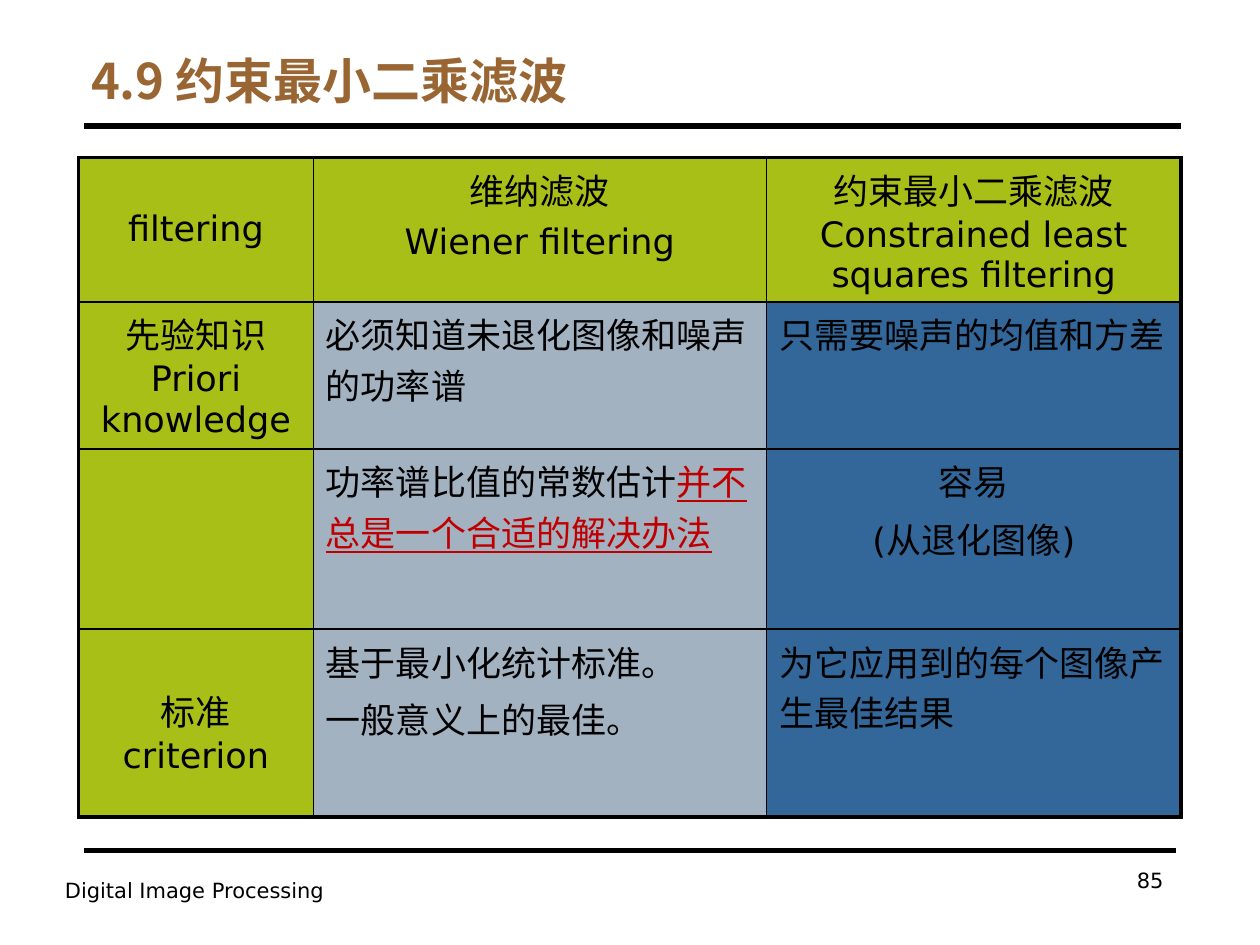
"""Build the slide comparing Wiener and constrained least squares filtering."""
from lxml.etree import SubElement
from pptx import Presentation
from pptx.dml.color import RGBColor
from pptx.enum.shapes import MSO_CONNECTOR
from pptx.enum.text import MSO_ANCHOR, PP_ALIGN
from pptx.oxml.ns import qn
from pptx.util import Pt

COLORS = {
    "ink": "000000",
    "title": "996633",
    "heading": "A7BF17",
    "wiener": "A3B2C1",
    "constrained": "336699",
    "emphasis": "C00000",
}
LATIN, CHINESE = "DejaVu Sans", "Noto Sans CJK SC"


def style(paragraph, size, align=PP_ALIGN.LEFT, color="ink", latin=LATIN, bold=False):
    paragraph.alignment = align
    font = paragraph.font
    font.size, font.name, font.bold = Pt(size), latin, bold
    font.color.rgb = RGBColor.from_string(COLORS[color])
    defaults = paragraph._p.pPr.find(qn("a:defRPr"))
    SubElement(defaults, qn("a:ea"), typeface=CHINESE)


def add_border(cell, side, width):
    line = SubElement(cell._tc.get_or_add_tcPr(), qn(f"a:ln{side}"), w=str(Pt(width)))
    fill = SubElement(line, qn("a:solidFill"))
    SubElement(fill, qn("a:srgbClr"), val=COLORS["ink"])


prs = Presentation()
prs.slide_width, prs.slide_height = Pt(720), Pt(540)
slide = prs.slides.add_slide(prs.slide_layouts[6])

for right, y in [(674.6, 72), (672, 486)]:
    rule = slide.shapes.add_connector(MSO_CONNECTOR.STRAIGHT, Pt(48.2), Pt(y), Pt(right), Pt(y))
    rule.line.width = Pt(3.25)
    rule.line.color.rgb = RGBColor.from_string(COLORS["ink"])
    SubElement(rule._element.spPr, qn("a:effectLst"))

labels = [
    ("4.9 约束最小二乘滤波", (45, 24, 630, 42), MSO_ANCHOR.BOTTOM,
     dict(size=28, color="title", latin=CHINESE, bold=True)),
    ("Digital Image Processing", (30, 498, 204, 37.5), MSO_ANCHOR.TOP, dict(size=12)),
    ("85", (516, 492, 156, 37.5), MSO_ANCHOR.TOP, dict(size=12, align=PP_ALIGN.RIGHT)),
]
for text, box, anchor, look in labels:
    frame = slide.shapes.add_textbox(*map(Pt, box)).text_frame
    frame.word_wrap = True
    frame.vertical_anchor = anchor
    frame.text = text
    style(frame.paragraphs[0], **look)

comparison = [
    ["filtering", "维纳滤波\nWiener filtering", "约束最小二乘滤波\vConstrained least squares filtering"],
    ["先验知识\vPriori knowledge", "必须知道未退化图像和噪声的功率谱", "只需要噪声的均值和方差"],
    ["", "功率谱比值的常数估计", "容易\n(从退化图像)"],
    ["标准\vcriterion", "基于最小化统计标准。\n一般意义上的最佳。", "为它应用到的每个图像产生最佳结果"],
]
column_widths = [134, 259, 237]
row_heights = [82.5, 84, 103, 107.5]
column_fills = ["heading", "wiener", "constrained"]
last_row, last_column = len(row_heights) - 1, len(column_widths) - 1

table = slide.shapes.add_table(
    len(row_heights), len(column_widths), Pt(45), Pt(90),
    Pt(sum(column_widths)), Pt(sum(row_heights)),
).table
table.first_row = table.horz_banding = False
for column, width in zip(table.columns, column_widths):
    column.width = Pt(width)
for row, height in zip(table.rows, row_heights):
    row.height = Pt(height)

for r, entries in enumerate(comparison):
    for c, entry in enumerate(entries):
        cell = table.cell(r, c)
        outer_sides = {"L": c == 0, "R": c == last_column, "T": r == 0, "B": r == last_row}
        for side, is_outer in outer_sides.items():
            add_border(cell, side, 2.25 if is_outer else 1)
        cell.fill.solid()
        fill = "heading" if r == 0 else column_fills[c]
        cell.fill.fore_color.rgb = RGBColor.from_string(COLORS[fill])
        cell.text = entry
        centered = r == 0 or c == 0 or (r, c) == (2, 2)
        for i, paragraph in enumerate(cell.text_frame.paragraphs):
            style(paragraph, 20, PP_ALIGN.CENTER if centered else PP_ALIGN.LEFT)
            if i:
                paragraph.space_before = Pt(4)

table.cell(0, 0).vertical_anchor = MSO_ANCHOR.MIDDLE
table.cell(last_row, 0).margin_top = Pt(32)

caveat = table.cell(2, 1).text_frame.paragraphs[0].add_run()
caveat.text = "并不总是一个合适的解决办法"
caveat.font.underline = True
caveat.font.color.rgb = RGBColor.from_string(COLORS["emphasis"])

prs.save("out.pptx")
